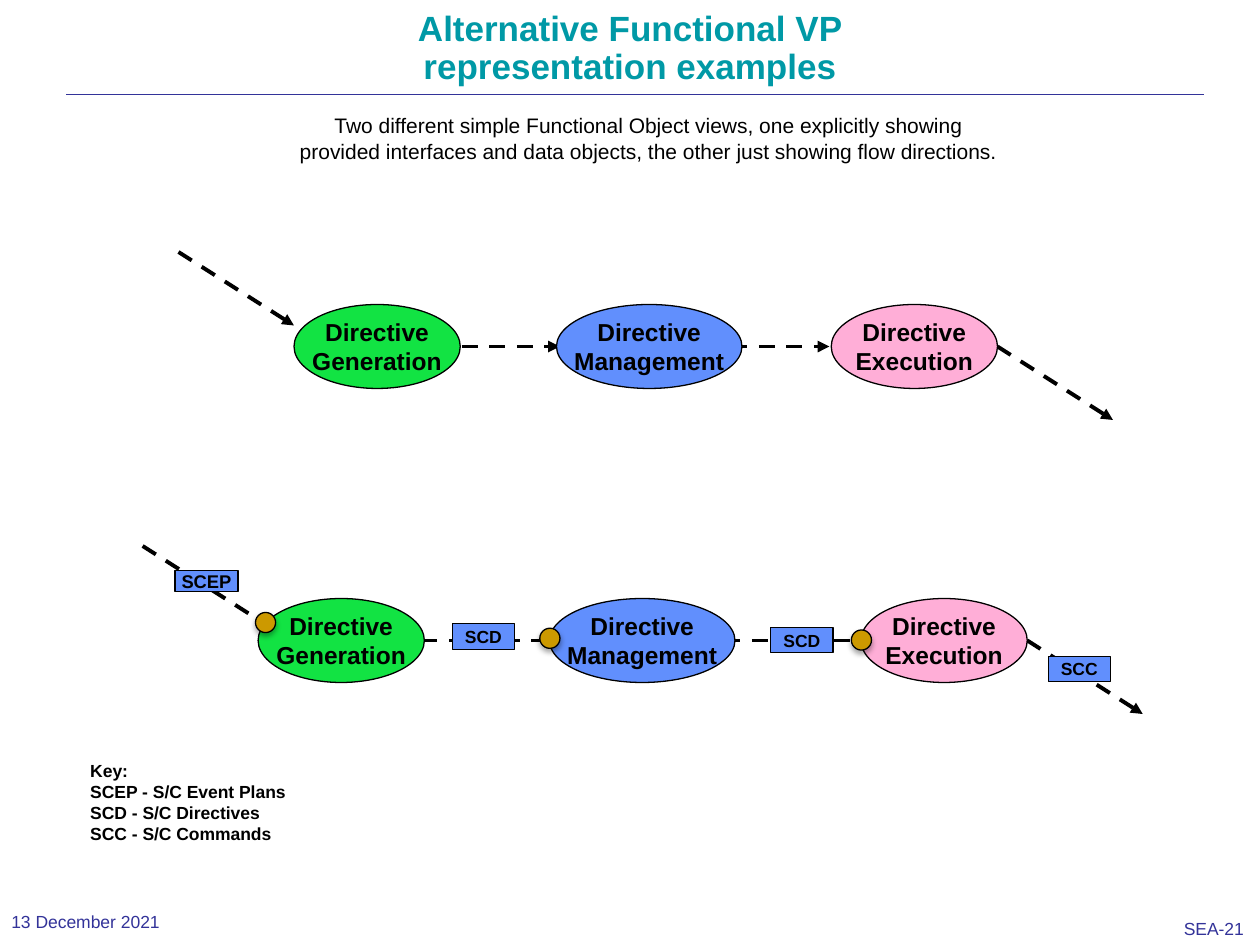
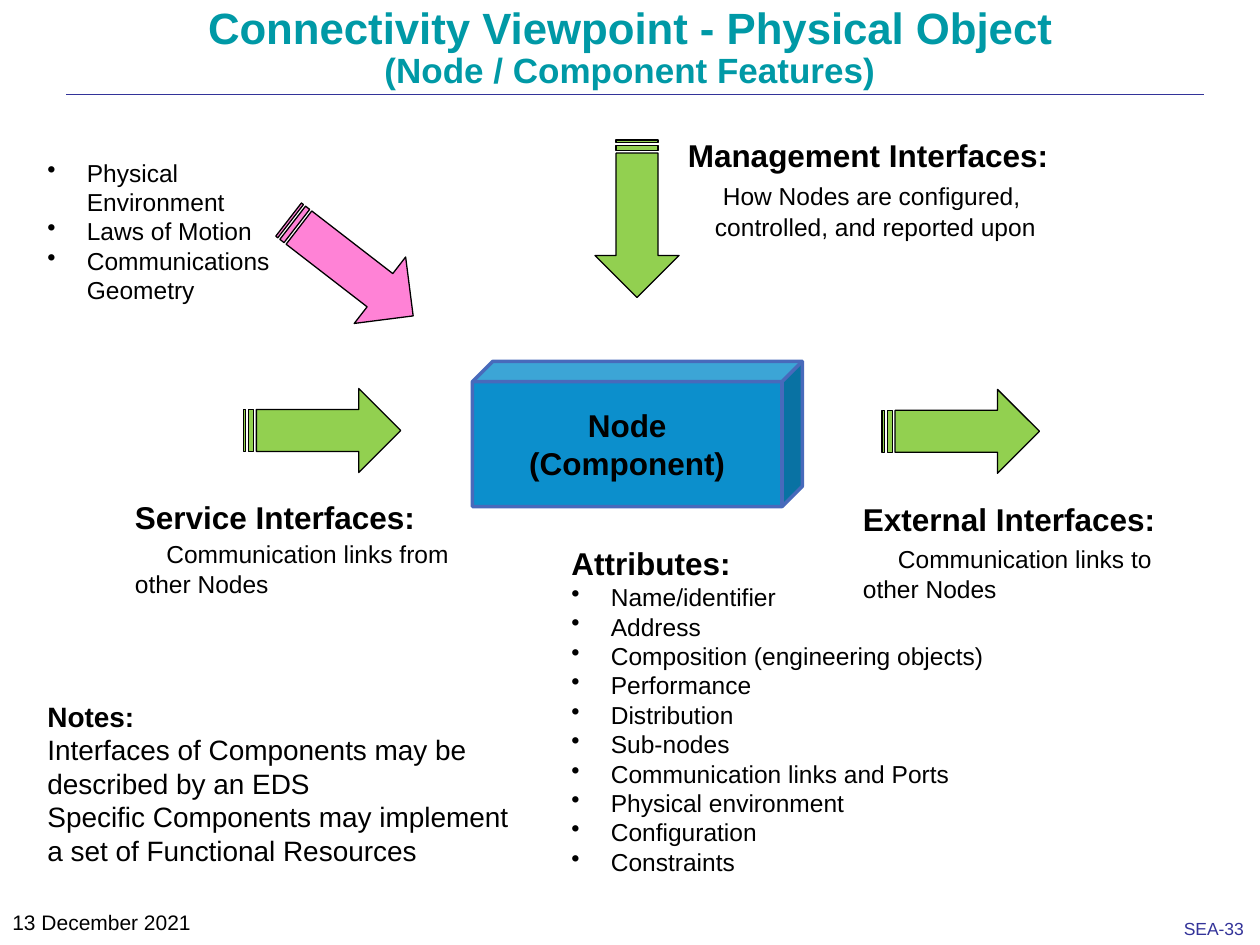
from dataclasses import dataclass

from lxml import etree
from pptx import Presentation
from pptx.dml.color import RGBColor
from pptx.enum.dml import MSO_LINE
from pptx.enum.shapes import MSO_CONNECTOR, MSO_SHAPE
from pptx.enum.text import MSO_ANCHOR, PP_ALIGN
from pptx.oxml.ns import qn
from pptx.util import Pt

STRAIGHT = MSO_CONNECTOR.STRAIGHT
DASH = MSO_LINE.DASH
ELLIPSE, RECTANGLE, CUBE = MSO_SHAPE.OVAL, MSO_SHAPE.RECTANGLE, MSO_SHAPE.CUBE
STRIPED_ARROW = MSO_SHAPE.STRIPED_RIGHT_ARROW
LEFT, CENTER = PP_ALIGN.LEFT, PP_ALIGN.CENTER
TOP, MIDDLE = MSO_ANCHOR.TOP, MSO_ANCHOR.MIDDLE

BLACK, NAVY, TEAL = "000000", "333399", "0099A6"
GREEN, BLUE, PINK, GOLD = "12E343", "618FFD", "FFAED7", "CC9900"
LIME, MAGENTA, NODE_BLUE, NODE_EDGE = "92D050", "FF82D6", "0C8FCC", "486ABB"
BULLET_INDENT = 22.5


def rgb(value):
    """Turn a hex string into a colour."""
    return RGBColor.from_string(value)


@dataclass
class Line:
    """One paragraph with its own size, weight, bullet, first indent and gap."""
    text: str
    size: float
    bold: bool = False
    bullet: bool = False
    indent: float = 0
    before: float = 0


class Deck:
    """Holds the shared style and the current slide."""

    font = "Arial"

    def __init__(self):
        """Start an empty 4:3 presentation."""
        self.presentation = Presentation()
        self.presentation.slide_width = Pt(720)
        self.presentation.slide_height = Pt(540)
        self.slide = None

    def add_slide(self, number):
        """Add a slide with the title rule and page number."""
        self.slide = self.presentation.slides.add_slide(self.presentation.slide_layouts[6])
        self.line((38, 54), (688, 54), NAVY, 0.13)
        self.text((670, 521, 50, 19), [Line(f"SEA-{number}", 10)], NAVY, inset_x=6.5)

    def fill_frame(self, frame, lines, color=BLACK, align=LEFT, spacing=None):
        """Fill a text frame with formatted paragraphs."""
        frame.text = "\n".join(line.text for line in lines)
        for paragraph, line in zip(frame.paragraphs, lines):
            properties = paragraph._p.get_or_add_pPr()
            if line.bullet:
                properties.set("marL", str(Pt(BULLET_INDENT)))
                properties.set("indent", str(-Pt(BULLET_INDENT)))
                etree.SubElement(properties, qn("a:buChar"), char="•")
            elif line.indent:
                properties.set("indent", str(Pt(line.indent)))
            paragraph.alignment = align
            if spacing:
                paragraph.line_spacing = spacing
            if line.before:
                paragraph.space_before = Pt(line.before)
            for run in paragraph.runs:
                run.font.name = self.font
                run.font.size = Pt(line.size)
                run.font.bold = line.bold
                run.font.color.rgb = rgb(color)

    def text(self, box, lines, color=BLACK, align=LEFT, anchor=TOP, spacing=None, inset_x=7.2):
        """Add a wrapping text box."""
        frame = self.slide.shapes.add_textbox(*map(Pt, box)).text_frame
        frame.word_wrap = True
        frame.vertical_anchor = anchor
        frame.margin_left = frame.margin_right = Pt(inset_x)
        self.fill_frame(frame, lines, color, align, spacing)

    def title(self, box, lines):
        """Add the centred slide title."""
        self.text(box, lines, TEAL, CENTER, spacing=0.9)

    def shape(self, kind, box, fill, lines=(), edge=BLACK, weight=0.75, rotation=0):
        """Add an outlined preset shape with optional centred text."""
        shape = self.slide.shapes.add_shape(kind, *map(Pt, box))
        shape.shadow.inherit = False
        shape.fill.solid()
        shape.fill.fore_color.rgb = rgb(fill)
        shape.line.color.rgb = rgb(edge)
        shape.line.width = Pt(weight)
        shape.rotation = rotation
        if lines:
            shape.text_frame.word_wrap = False
            shape.text_frame.vertical_anchor = MIDDLE
            self.fill_frame(shape.text_frame, lines, align=CENTER)
        return shape

    def line(self, start, end, color=BLACK, weight=2.25, dashed=False, arrow=False):
        """Add a straight line, dashed or with an arrowhead if asked."""
        line = self.slide.shapes.add_connector(STRAIGHT, *map(Pt, start + end))
        line.line.color.rgb = rgb(color)
        line.line.width = Pt(weight)
        if dashed:
            line.line.dash_style = DASH
        if arrow:
            outline = line._element.spPr.find(qn("a:ln"))
            etree.SubElement(outline, qn("a:tailEnd"), type="triangle")
        etree.SubElement(line._element.spPr, qn("a:effectLst"))

    def interface(self, left, top):
        """Add a gold interface dot with a soft shadow."""
        dot = self.shape(ELLIPSE, (left, top, 11.5, 11.5), GOLD)
        effects = dot._element.spPr.find(qn("a:effectLst"))
        shadow = etree.SubElement(effects, qn("a:outerShdw"), blurRad=str(Pt(3.1)),
                                  dist=str(Pt(1.8)), dir="5400000", rotWithShape="0")
        shade = etree.SubElement(shadow, qn("a:srgbClr"), val=BLACK)
        etree.SubElement(shade, qn("a:alpha"), val="35000")

    def flow(self, axis, lefts, links, arrows):
        """Add the three directive functions along an axis with their flows."""
        functions = (("Generation", GREEN, 95), ("Management", BLUE, 106), ("Execution", PINK, 95))
        entry, leave = lefts[0], lefts[-1] + functions[-1][2]
        self.line((entry - 66, axis - 54), (entry, axis - 12), dashed=True, arrow=arrows)
        for start, end in links:
            self.line((start, axis), (end, axis), dashed=True, arrow=arrows)
        self.line((leave, axis), (leave + 66, axis + 42), dashed=True, arrow=True)
        for (name, fill, width), left in zip(functions, lefts):
            self.shape(ELLIPSE, (left, axis - 24, width, 48), fill,
                       [Line("Directive", 14, True), Line(name, 14, True)])


def functional_slide(deck):
    """Build the functional viewpoint examples."""
    deck.add_slide(21)
    deck.title((194.5, 3, 331, 29),
               [Line("Alternative Functional VP representation examples", 20, True)])
    deck.flow(198, (168, 318, 475), ((264, 320), (418, 474)), True)
    deck.flow(366, (147.5, 314, 492), ((241, 315), (414, 492)), False)
    data_objects = (
        ("SCEP", 10.5, (100, 326, 36, 12)),
        ("SCD", 10, (258.5, 356.5, 35.5, 14.5)),
        ("SCD", 10, (440.5, 358.5, 35.5, 14.5)),
        ("SCC", 10, (599, 375, 35.5, 14.5)),
    )
    for name, size, box in data_objects:
        deck.shape(RECTANGLE, box, BLUE, [Line(name, size, True)])
    for left, top in ((146, 350), (308.5, 359), (486.5, 360)):
        deck.interface(left, top)
    key = ("Key:", "SCEP - S/C Event Plans", "SCD - S/C Directives", "SCC - S/C Commands")
    deck.text((44.5, 430.5, 128, 80), [Line(entry, 10, True) for entry in key])
    deck.text((0, 516, 136, 21), [Line("13 December 2021", 10)], NAVY,
              anchor=MIDDLE, inset_x=6.5)
    deck.text((160.5, 61, 420.5, 36), [Line(
        "Two different simple Functional Object views, one explicitly showing provided "
        "interfaces and data objects, the other just showing flow directions.", 12)], align=CENTER)


def connectivity_slide(deck):
    """Build the physical node viewpoint."""
    deck.add_slide(33)
    deck.text((0, 516, 150, 24), [Line("13 December 2021", 12)])
    deck.title((36, 0, 648, 35), [Line("Connectivity Viewpoint - Physical Object", 25, True),
                                  Line("(Node / Component Features)", 20, True)])
    attributes = ("Name/identifier", "Address", "Composition (engineering objects)",
                  "Performance", "Distribution", "Sub-nodes", "Communication links and Ports",
                  "Physical environment", "Configuration", "Constraints")
    deck.text((319.5, 307.5, 251.5, 199), [Line("Attributes:", 18, True)]
              + [Line(name, 14, bullet=True) for name in attributes])
    deck.text((486, 282, 198, 68), [
        Line("External Interfaces:", 18, True),
        Line("Communication links to other Nodes", 14, indent=20, before=4)])
    deck.text((386, 74, 244, 70), [
        Line("Management Interfaces:", 18, True),
        Line("How Nodes are configured,", 14, indent=20, before=4),
        Line("controlled, and reported upon", 14, indent=15.5, before=1)])
    deck.text((70, 281, 203, 65), [
        Line("Service Interfaces:", 18, True),
        Line("Communication links from other Nodes", 14, indent=18, before=2)])
    node = deck.shape(CUBE, (270, 206.5, 188.5, 83), NODE_BLUE,
                      [Line("Node", 18, True), Line("(Component)", 18, True)], NODE_EDGE, 2)
    node.adjustments[0] = 0.14
    deck.text((20, 396, 281, 104), [
        Line("Notes:", 16, True),
        Line("Interfaces of Components may be described by an EDS", 16),
        Line("Specific Components may implement a set of Functional Resources", 16)])
    influences = ((319, 101, LIME, 90), (139, 222, LIME, 0),
                  (504, 222.5, LIME, 0), (155.5, 129, MAGENTA, 37.7))
    for left, top, fill, rotation in influences:
        deck.shape(STRIPED_ARROW, (left, top, 90, 48), fill, rotation=rotation)
    surroundings = ("Physical Environment", "Laws of Motion", "Communications Geometry")
    deck.text((20, 86.5, 147.5, 92), [Line(name, 14, bullet=True) for name in surroundings])


def main():
    """Build and save both slides."""
    deck = Deck()
    functional_slide(deck)
    connectivity_slide(deck)
    deck.presentation.save("out.pptx")


if __name__ == "__main__":
    main()
